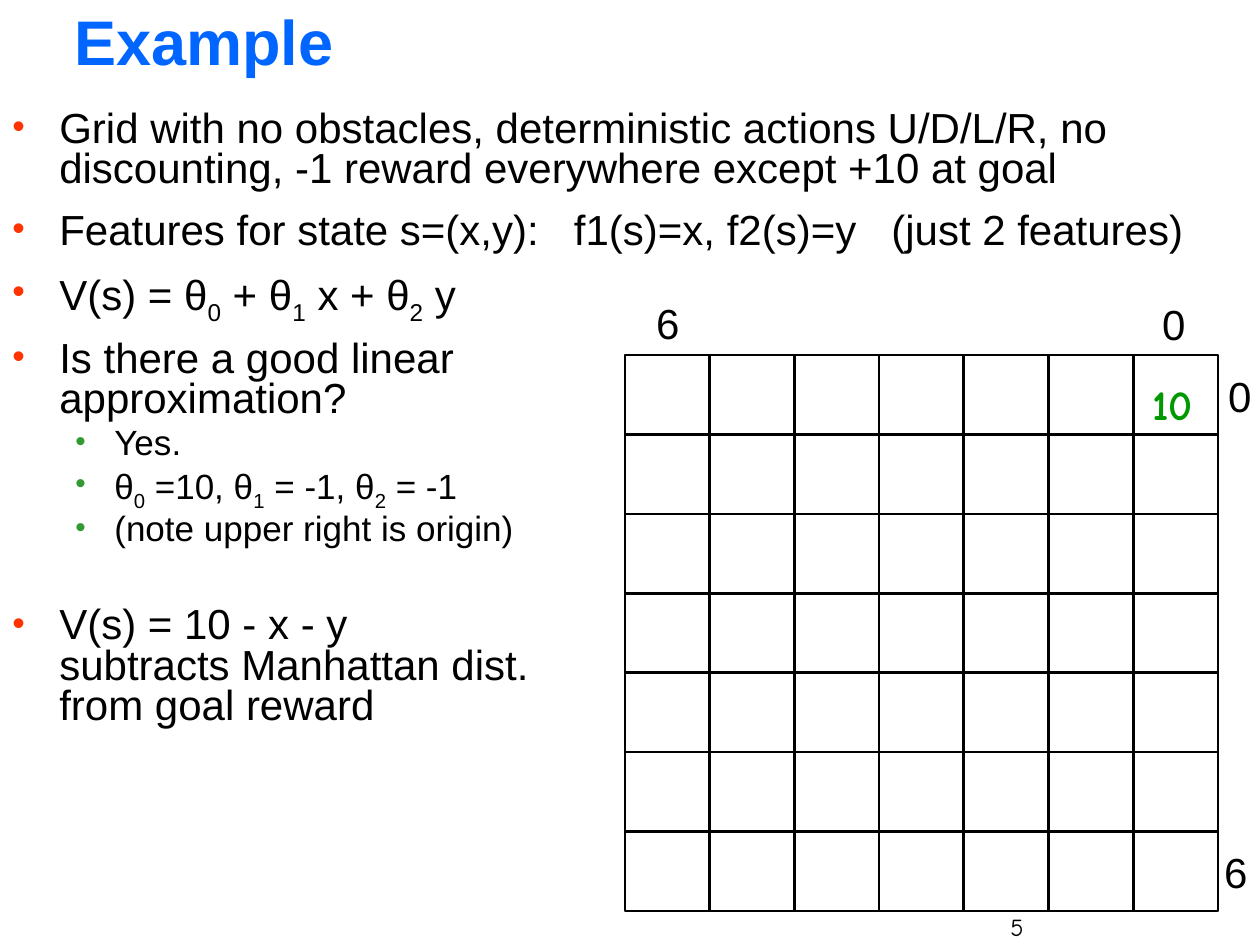
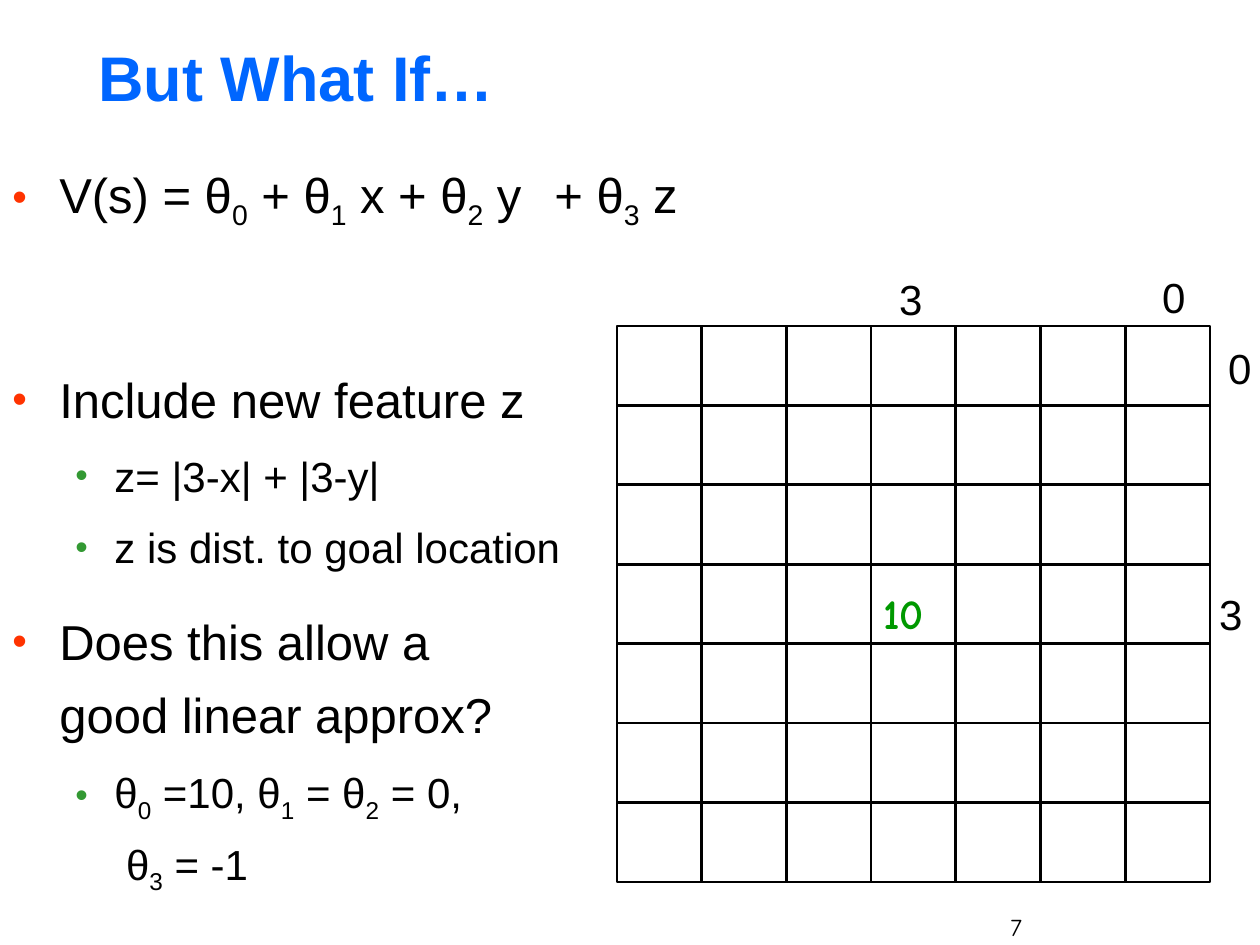
from lxml.etree import SubElement
from pptx import Presentation
from pptx.dml.color import RGBColor
from pptx.enum.shapes import MSO_SHAPE as SHAPE
from pptx.enum.text import MSO_ANCHOR as ANCHOR, MSO_AUTO_SIZE as AUTO, PP_ALIGN as ALIGN
from pptx.oxml.ns import qn
from pptx.util import Pt

COLORS = {"title": "0066FF", "text": "000000", "goal": "009900",
          "bullet0": "FF3300", "bullet1": "339933"}
BODY_FONT, HAND_FONT = "Arial", "Comic Neue"
EMU_PER_PX = 914400 / 126
SLIDE_W, SLIDE_H = 1260, 945
GRID_W, GRID_H, CELLS = 593, 556, 7
LABEL_W, LABEL_H = 49, 63
PAGE_BOX = (998, 906, 262, 32)
INDENTS = [(47, -47), (102, -39)]  # left margin and first line, by level

# Text marks: "_" lowers the next character, "~" is a wide space.
# Paragraphs: (level, size, space before, text)
SLIDES = [
    {
        "title": ("Example", (62, -3, 1169, 86)),
        "page": "5",
        "texts": [
            ((0, 105, 1260, 651), 0.8, [
                (0, 24, 0, "Grid with no obstacles, deterministic actions U/D/L/R, no "
                           "discounting, -1 reward everywhere except +10 at goal"),
                (0, 24, 12, "Features for state s=(x,y):~f1(s)=x, f2(s)=y~(just 2 features)"),
                (0, 24, 12, "V(s) = θ_0 + θ_1 x + θ_2 y"),
                (0, 24, 12, "Is there a good linear\napproximation?"),
                (1, 20, 4, "Yes."),
                (1, 20, 4, "θ_0 =10, θ_1 = -1, θ_2 = -1"),
                (1, 20, 4, "(note upper right is origin)"),
                (0, 24, 34, "V(s) = 10 - x - y\nsubtracts Manhattan dist.\nfrom goal reward"),
            ]),
        ],
        "grid": (625, 355),
        "goal": ("10", (1140, 372)),
        "labels": [("0", 1149, 292), ("0", 1215, 364), ("6", 643, 291), ("6", 1211, 840)],
    },
    {
        "title": ("But What If…", (86, 33, 1071, 86)),
        "page": "7",
        "texts": [
            ((0, 158, 540, 185), 1, [(0, 28, 0, "V(s) = θ_0 + θ_1 x + θ_2 y")]),
            ((542, 158, 400, 185), 1, [(None, 28, 0, "+ θ_3 z")]),
            ((0, 349, 610, 560), 1.25, [
                (0, 28, 0, "Include new feature z"),
                (1, 24, 5, "z= |3-x| + |3-y|"),
                (1, 24, 5, "z is dist. to goal location"),
                (0, 28, 14, "Does this allow a\ngood linear approx?"),
                (1, 24, 5, "θ_0 =10, θ_1 = θ_2 = 0,\n θ_3 = -1"),
            ]),
        ],
        "grid": (617, 326),
        "goal": ("10", (871, 581)),
        "labels": [("0", 1149, 265), ("0", 1215, 336), ("3", 886, 267), ("3", 1206, 582)],
    },
]


def px(*values):
    return [round(v * EMU_PER_PX) for v in values]


def style(font, size, color="text", name=BODY_FONT, bold=False):
    font.size, font.name, font.bold = Pt(size), name, bold
    font.color.rgb = RGBColor.from_string(COLORS[color])


def add_box(s, box, wrap=True):
    tf = s.shapes.add_textbox(*px(*box)).text_frame
    tf.word_wrap = wrap
    tf.auto_size = AUTO.NONE if wrap else AUTO.SHAPE_TO_FIT_TEXT
    return tf


def add_line(s, text, box, size, wrap=True, **look):
    """Add a box with a single run of text."""
    tf = add_box(s, box, wrap)
    tf.text = text
    style(tf.paragraphs[0].runs[0].font, size, **look)
    return tf


def set_bullet(p, level):
    pPr = p._p.get_or_add_pPr()
    margin, indent = px(*INDENTS[level])
    pPr.set("marL", str(margin))
    pPr.set("indent", str(indent))
    color = SubElement(pPr, qn("a:buClr"))
    SubElement(color, qn("a:srgbClr"), val=COLORS[f"bullet{level}"])
    SubElement(pPr, qn("a:buSzPct"), val="85000")
    SubElement(pPr, qn("a:buFont"), typeface=BODY_FONT)
    SubElement(pPr, qn("a:buChar"), char="•")


def add_run(p, text, size, **attributes):
    r = p.add_run()
    r.text = text
    style(r.font, size)
    for key, value in attributes.items():
        r.font._element.set(key, str(value))


def add_marked_text(p, text, size):
    """Turn the text marks into lowered and widened runs."""
    plain, mark = "", ""
    for char in text + "\0":
        if not mark and char not in "_~\n\0":
            plain += char
            continue
        if plain:
            add_run(p, plain, size)
            plain = ""
        if mark:
            add_run(p, char, size, baseline=-25000)
        elif char == "~":
            add_run(p, " ", size, spc=round(size * 55.6))
        elif char == "\n":
            p.add_line_break()
        mark = char if char == "_" else ""


def add_paragraphs(s, box, spacing, items):
    tf = add_box(s, box)
    for i, (level, size, before, text) in enumerate(items):
        p = tf.add_paragraph() if i else tf.paragraphs[0]
        if level is not None:
            p.level = level
            set_bullet(p, level)
        p.line_spacing = float(spacing)
        p.space_before = Pt(before)
        add_marked_text(p, text, size)


def add_grid(s, left, top):
    xs = px(*(left + GRID_W * i / CELLS for i in range(CELLS + 1)))
    ys = px(*(top + GRID_H * i / CELLS for i in range(CELLS + 1)))
    for y, bottom in zip(ys, ys[1:]):
        for x, right in zip(xs, xs[1:]):
            cell = s.shapes.add_shape(SHAPE.RECTANGLE, x, y, right - x, bottom - y)
            cell.shadow.inherit = False
            cell.fill.background()
            cell.line.color.rgb = RGBColor.from_string(COLORS["text"])
            cell.line.width = Pt(1.5)


def build_slide(prs, data):
    s = prs.slides.add_slide(prs.slide_layouts[6])
    add_line(s, data["page"], PAGE_BOX, 14, name=HAND_FONT)
    title, box = data["title"]
    add_line(s, title, box, 36, color="title", bold=True).vertical_anchor = ANCHOR.MIDDLE
    for text in data["texts"]:
        add_paragraphs(s, *text)
    add_grid(s, *data["grid"])
    goal, place = data["goal"]
    add_line(s, goal, (*place, 77, LABEL_H), 24, wrap=False,
             color="goal", name=HAND_FONT, bold=True)
    for label, x, y in data["labels"]:
        tf = add_line(s, label, (x, y, LABEL_W, LABEL_H), 24, wrap=False)
        tf.paragraphs[0].alignment = ALIGN.RIGHT


def main():
    prs = Presentation()
    prs.slide_width, prs.slide_height = px(SLIDE_W, SLIDE_H)
    for data in SLIDES:
        build_slide(prs, data)
    prs.save("out.pptx")


if __name__ == "__main__":
    main()
